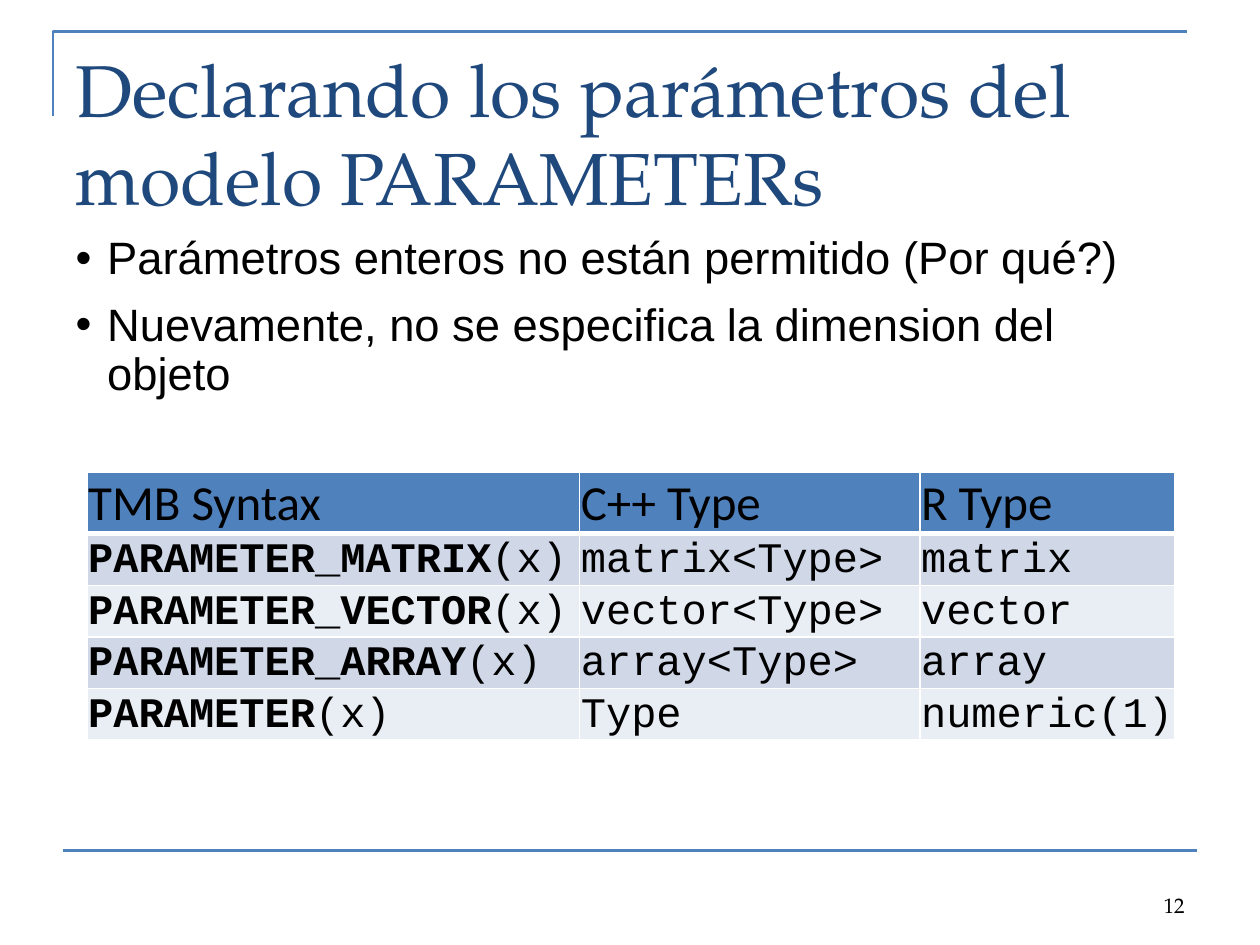
from dataclasses import dataclass

from lxml import etree
from pptx import Presentation
from pptx.dml.color import RGBColor
from pptx.enum import shapes, text
from pptx.oxml.ns import qn
from pptx.util import Inches, Pt


@dataclass(frozen=True)
class Theme:
    blue: str = "4F81BD"
    navy: str = "1F497D"
    ink: str = "000000"
    white: str = "FFFFFF"
    bands: tuple = ("D0D8E8", "E9EDF4")
    serif: str = "TeX Gyre Pagella"
    sans: str = "Arial"
    head: str = "Calibri"
    mono: str = "Courier New"
    title: float = 42
    body: float = 25.9
    label: float = 28
    code: float = 24
    small: float = 12


class Deck:
    def __init__(self, theme):
        self.theme = theme
        self.prs = Presentation()
        self.prs.slide_width, self.prs.slide_height = Inches(10), Inches(7.5)
        self.slide = self.prs.slides.add_slide(self.prs.slide_layouts[1])

    def run(self, para, words, size, face, color=None, bold=False):
        run = para.add_run()
        run.text = words
        run.font.size, run.font.name, run.font.bold = Pt(size), face, bold
        run.font.color.rgb = RGBColor.from_string(color or self.theme.ink)

    def place(self, shape, box):
        shape.left, shape.top, shape.width, shape.height = map(Inches, box)
        frame = shape.text_frame
        frame.word_wrap = True
        frame.auto_size = text.MSO_AUTO_SIZE.NONE
        frame.vertical_anchor = text.MSO_ANCHOR.TOP
        return frame

    def stroke(self, shape):
        shape.line.color.rgb = RGBColor.from_string(self.theme.blue)
        shape.line.width = Pt(1.5)

    def corner(self, points):
        first, *rest = [(Inches(x), Inches(y)) for x, y in points]
        form = self.slide.shapes.build_freeform(*first)
        form.add_line_segments(rest, close=False)
        shape = form.convert_to_shape()
        shape.shadow.inherit = False
        shape.fill.background()
        self.stroke(shape)

    def rule(self, start, end):
        line = self.slide.shapes.add_connector(
            shapes.MSO_CONNECTOR.STRAIGHT, *map(Inches, start + end))
        self.stroke(line)
        etree.SubElement(line._element.spPr, qn("a:effectLst"))

    def title(self, words, box):
        para = self.place(self.slide.shapes.title, box).paragraphs[0]
        para.alignment = text.PP_ALIGN.LEFT
        self.run(para, words, self.theme.title, self.theme.serif, self.theme.navy)

    def bullets(self, items, box):
        frame = self.place(self.slide.placeholders[1], box)
        for i, words in enumerate(items):
            para = frame.add_paragraph() if i else frame.paragraphs[0]
            para.line_spacing, para.space_before = 0.9, Pt(10)
            props = para._p.get_or_add_pPr()
            props.set("marL", str(Inches(0.25)))
            props.set("indent", str(-Inches(0.25)))
            etree.SubElement(props, qn("a:buFont")).set("typeface", self.theme.sans)
            etree.SubElement(props, qn("a:buChar")).set("char", "•")
            self.run(para, words, self.theme.body, self.theme.sans)

    def number(self, words, box):
        frame = self.place(self.slide.shapes.add_textbox(0, 0, 0, 0), box)
        frame.vertical_anchor = text.MSO_ANCHOR.BOTTOM
        para = frame.paragraphs[0]
        para.alignment = text.PP_ALIGN.RIGHT
        self.run(para, words, self.theme.small, self.theme.serif)

    def edge(self, cell, sides):
        props = cell._tc.get_or_add_tcPr()
        for i, (side, width) in enumerate(sides.items()):
            line = etree.Element(qn("a:ln" + side), w=str(Pt(width)))
            fill = etree.SubElement(line, qn("a:solidFill"))
            etree.SubElement(fill, qn("a:srgbClr"), val=self.theme.white)
            props.insert(i, line)

    def cell(self, cell, parts, row):
        t = self.theme
        cell.margin_left = cell.margin_right = cell.margin_top = Inches(0.01)
        cell.margin_bottom = 0
        cell.vertical_anchor = text.MSO_ANCHOR.BOTTOM
        cell.fill.solid()
        shade = t.bands[(row - 1) % 2] if row else t.blue
        cell.fill.fore_color.rgb = RGBColor.from_string(shade)
        self.edge(cell, {"L": 1, "R": 1, "T": 3 if row == 1 else 1,
                         "B": 1 if row else 3})
        size, face = (t.code, t.mono) if row else (t.label, t.head)
        for words, bold in parts:
            self.run(cell.text_frame.paragraphs[0], words, size, face, bold=bold)

    def table(self, head, rows, spot, widths, high):
        grid = [[[(words, False)] for words in head]]
        for name, *kinds in rows:
            grid.append([[(name, True), ("(x)", False)]]
                        + [[(kind, False)] for kind in kinds])
        table = self.slide.shapes.add_table(
            len(grid), len(widths), *map(Inches, spot),
            Inches(sum(widths)), Inches(high * len(grid))).table
        for col, width in zip(table.columns, widths):
            col.width = Inches(width)
        for r, line in enumerate(grid):
            table.rows[r].height = Inches(high)
            for c, parts in enumerate(line):
                self.cell(table.cell(r, c), parts, r)


def main():
    deck = Deck(Theme())
    deck.corner([(0.42, 0.92), (0.42, 0.25), (9.42, 0.25)])
    deck.rule((0.5, 6.75), (9.5, 6.75))
    deck.title("Declarando los parámetros del modelo PARAMETERs",
               (0.5, 0.3, 9, 1.25))
    deck.table(
        ["TMB Syntax", "C++ Type", "R Type"],
        [("PARAMETER_MATRIX", "matrix<Type>", "matrix"),
         ("PARAMETER_VECTOR", "vector<Type>", "vector"),
         ("PARAMETER_ARRAY", "array<Type>", "array"),
         ("PARAMETER", "Type", "numeric(1)")],
        (0.69, 3.75), (3.91, 2.7, 2.02), 0.41)
    deck.number("12", (7.17, 6.83, 2.33, 0.5))
    deck.bullets(["Parámetros enteros no están permitido (Por qué?)",
                  "Nuevamente, no se especifica la dimension del objeto"],
                 (0.5, 1.82, 8.62, 1.45))
    deck.prs.save("out.pptx")


if __name__ == "__main__":
    main()
